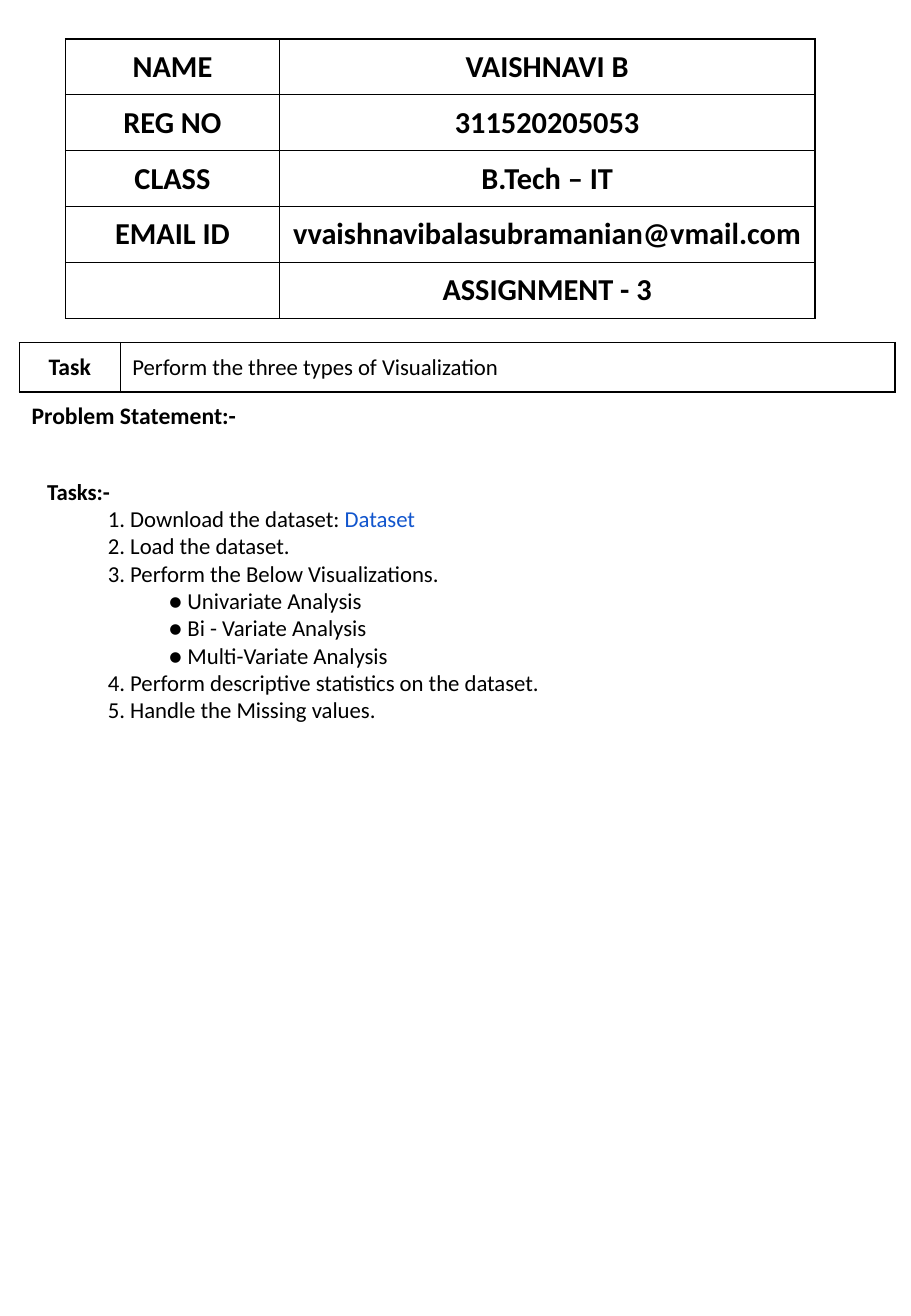
from dataclasses import dataclass

from lxml import etree
from pptx import Presentation, util as u
from pptx.dml.color import RGBColor
from pptx.enum import text
from pptx.oxml import ns


@dataclass(frozen=True)
class Theme:
    font: str = "Calibri"
    ink: str = "000000"
    link: str = "1155CD"
    header_size: float = 18
    label_size: float = 14
    body_size: float = 13.5
    border: float = 1


class SlideBuilder:
    def __init__(self, slide, theme):
        self.slide = slide
        self.theme = theme

    def style(self, font, size, bold=False):
        font.name = self.theme.font
        font.size = u.Pt(size)
        font.bold = bold
        font.color.rgb = RGBColor.from_string(self.theme.ink)

    def table(self, left, top, widths, row_height, rows):
        """Add an unstyled table with one empty cell per given width."""
        frame = self.slide.shapes.add_table(
            rows, len(widths), u.Inches(left), u.Inches(top),
            u.Inches(sum(widths)), u.Inches(row_height * rows))
        table = frame.table
        table.first_row = table.horz_banding = False
        for column, width in zip(table.columns, widths):
            column.width = u.Inches(width)
        for row in table.rows:
            row.height = u.Inches(row_height)
        return table

    def borders(self, cell, sides):
        """Rule the named sides of a cell and clear the others."""
        cell.fill.background()
        properties = cell._tc.get_or_add_tcPr()
        for position, side in enumerate("LRTB"):
            line = etree.Element(ns.qn(f"a:ln{side}"), w=str(u.Pt(self.theme.border)))
            if side in sides:
                fill = etree.SubElement(line, ns.qn("a:solidFill"))
                etree.SubElement(fill, ns.qn("a:srgbClr"), val=self.theme.ink)
            else:
                etree.SubElement(line, ns.qn("a:noFill"))
            properties.insert(position, line)

    def cell(self, cell, wording, size, bold=True,
             align=text.PP_ALIGN.CENTER, sides="LRTB"):
        cell.vertical_anchor = text.MSO_ANCHOR.MIDDLE
        paragraph = cell.text_frame.paragraphs[0]
        paragraph.text = wording
        paragraph.alignment = align
        self.style(paragraph.font, size, bold)
        self.borders(cell, sides)

    def outline(self, left, top, width, height, items, step):
        """Add a text box of (level, wording, link wording) items."""
        box = self.slide.shapes.add_textbox(*map(u.Inches, (left, top, width, height)))
        frame = box.text_frame
        frame.word_wrap = True
        for index, (level, wording, link) in enumerate(items):
            paragraph = frame.paragraphs[0] if index == 0 else frame.add_paragraph()
            paragraph.text = wording
            self.style(paragraph.font, self.theme.body_size, bold=level == 0)
            paragraph._p.get_or_add_pPr().set("marL", str(u.Inches(level * step)))
            if link:
                run = paragraph.add_run()
                run.text = link
                run.font.color.rgb = RGBColor.from_string(self.theme.link)


STUDENT = [
    ("NAME", "VAISHNAVI B"),
    ("REG NO", "311520205053"),
    ("CLASS", "B.Tech – IT"),
    ("EMAIL ID", "vvaishnavibalasubramanian@vmail.com"),
    ("", "ASSIGNMENT - 3"),
]
TASKS = [
    (0, "Tasks:-", ""),
    (1, "1. Download the dataset: ", "Dataset"),
    (1, "2. Load the dataset.", ""),
    (1, "3. Perform the Below Visualizations.", ""),
    (2, "● Univariate Analysis", ""),
    (2, "● Bi - Variate Analysis", ""),
    (2, "● Multi-Variate Analysis", ""),
    (1, "4. Perform descriptive statistics on the dataset.", ""),
    (1, "5. Handle the Missing values.", ""),
]


def main():
    presentation = Presentation()
    presentation.slide_width = u.Inches(7.5)
    presentation.slide_height = u.Inches(10.83)
    theme = Theme()
    slide = presentation.slides.add_slide(presentation.slide_layouts[6])
    builder = SlideBuilder(slide, theme)

    # Student details
    details = builder.table(0.54, 0.32, (1.76, 4.41), 0.46, len(STUDENT))
    for row, entries in enumerate(STUDENT):
        for column, wording in enumerate(entries):
            builder.cell(details.cell(row, column), wording, theme.header_size)

    # Task and problem statement
    task = builder.table(0.16, 2.82, (0.83, 6.38), 0.405, 2)
    builder.cell(task.cell(0, 0), "Task", theme.label_size)
    builder.cell(task.cell(0, 1), "Perform the three types of Visualization",
                 theme.body_size, bold=False, align=text.PP_ALIGN.JUSTIFY)
    statement = task.cell(1, 0)
    statement.merge(task.cell(1, 1))
    builder.cell(statement, "Problem Statement:-", theme.label_size,
                 align=text.PP_ALIGN.LEFT, sides="T")
    builder.borders(task.cell(1, 1), "T")

    # Task list
    builder.outline(0.29, 3.88, 7.08, 2.15, TASKS, step=0.5)

    presentation.save("out.pptx")


if __name__ == "__main__":
    main()
